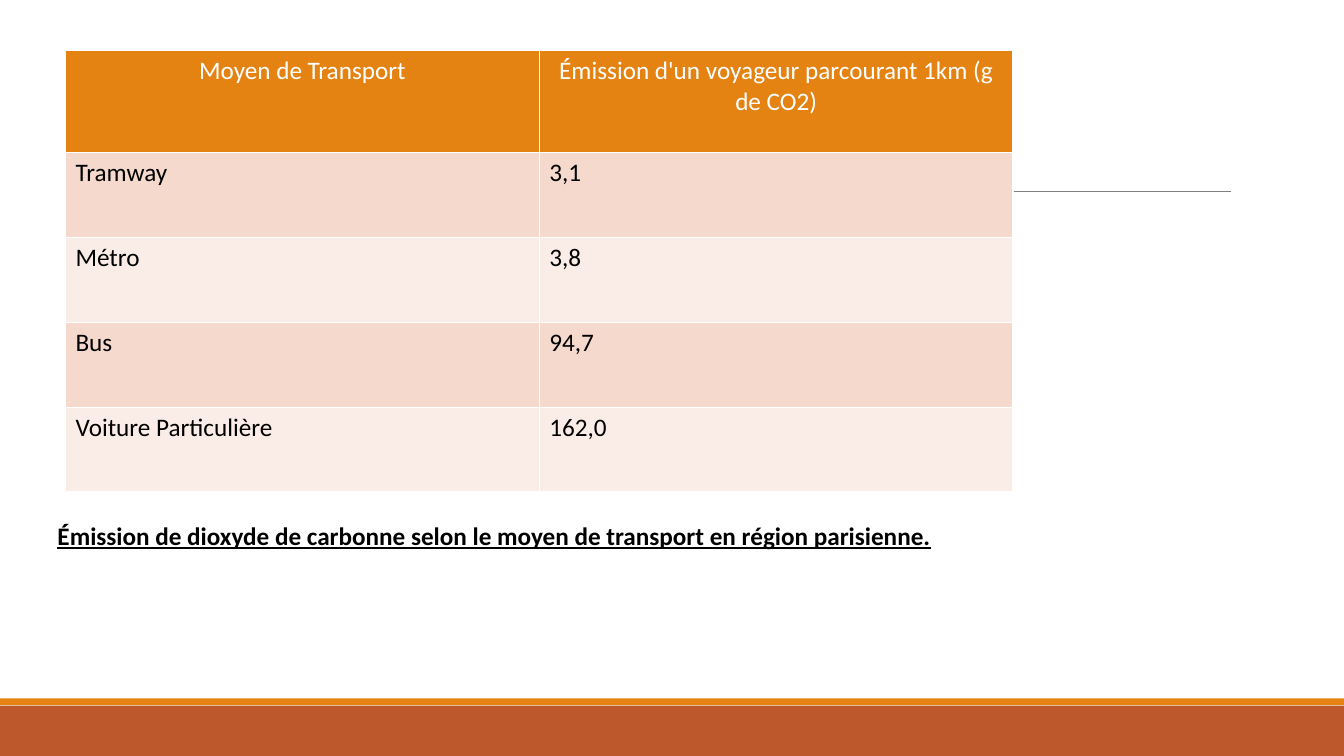
import dataclasses

import pptx
import pptx.dml.color
import pptx.enum.shapes
import pptx.enum.text
import pptx.oxml
import pptx.oxml.ns
import pptx.util

Cm = pptx.util.Cm
Pt = pptx.util.Pt


@dataclasses.dataclass(frozen=True)
class Theme:
    font: str = "Calibri"
    size: int = 18
    white: str = "FFFFFF"
    black: str = "000000"
    orange: str = "E48312"
    rust: str = "BD582C"
    rule: str = "808080"
    rule_width: float = 0.5
    border_width: float = 1
    bands: tuple = ("F5D9CC", "FAEDE7")


THEME = Theme()
WIDTH, HEIGHT = 33.87, 19.05

EMISSIONS = [
    ("Moyen de Transport", "Émission d'un voyageur parcourant 1km (g de CO2)"),
    ("Tramway", "3,1"),
    ("Métro", "3,8"),
    ("Bus", "94,7"),
    ("Voiture Particulière", "162,0"),
]
CAPTION = "Émission de dioxyde de carbonne selon le moyen de transport en région parisienne."


def colour(code):
    return pptx.dml.color.RGBColor.from_string(code)


def write_text(frame, text, ink=THEME.black, align="LEFT", bold=False, underline=False):
    para = frame.paragraphs[0]
    para.alignment = getattr(pptx.enum.text.PP_ALIGN, align)
    span = para.add_run()
    span.text = text
    font = span.font
    font.name, font.size = THEME.font, Pt(THEME.size)
    font.bold, font.underline = bold, underline
    font.color.rgb = colour(ink)


def border_cell(cell):
    properties = cell._tc.get_or_add_tcPr()
    width = Pt(THEME.border_width)
    # Borders come before the fill in the cell properties
    for position, side in enumerate(("lnL", "lnR", "lnT", "lnB")):
        line = pptx.oxml.parse_xml(
            f'<a:{side} {pptx.oxml.ns.nsdecls("a")} w="{width}"><a:solidFill>'
            f'<a:srgbClr val="{THEME.white}"/></a:solidFill></a:{side}>'
        )
        properties.insert(position, line)


def add_band(page, left, top, width, height, fill):
    band = page.shapes.add_shape(
        pptx.enum.shapes.MSO_SHAPE.RECTANGLE, Cm(left), Cm(top), Cm(width), Cm(height)
    )
    band.shadow.inherit = False
    band.fill.solid()
    band.fill.fore_color.rgb = colour(fill)
    band.line.fill.background()


def add_footer(page, left, top, width, height):
    stripe, gap = 0.17, 0.01
    body_top = top + stripe + gap
    add_band(page, left, body_top, width, height - stripe - gap, THEME.rust)
    add_band(page, left, top, width, stripe, THEME.orange)


def add_rule(page, left, top, width):
    rule = page.shapes.add_connector(
        pptx.enum.shapes.MSO_CONNECTOR.STRAIGHT,
        Cm(left), Cm(top), Cm(left + width), Cm(top),
    )
    rule.line.color.rgb = colour(THEME.rule)
    rule.line.width = Pt(THEME.rule_width)
    rule._element.spPr.append(
        pptx.oxml.parse_xml(f'<a:effectLst {pptx.oxml.ns.nsdecls("a")}/>')
    )


def add_emissions_table(page, left, top, width, height):
    header_height = 2.57
    row_height = (height - header_height) / (len(EMISSIONS) - 1)
    columns = len(EMISSIONS[0])
    table = page.shapes.add_table(
        len(EMISSIONS), columns, Cm(left), Cm(top), Cm(width), Cm(height)
    ).table
    for column in table.columns:
        column.width = Cm(width / columns)
    for index, values in enumerate(EMISSIONS):
        header = index == 0
        table.rows[index].height = Cm(header_height if header else row_height)
        fill = THEME.orange if header else THEME.bands[(index - 1) % 2]
        for cell, value in zip(table.rows[index].cells, values):
            cell.fill.solid()
            cell.fill.fore_color.rgb = colour(fill)
            border_cell(cell)
            write_text(
                cell.text_frame, value,
                ink=THEME.white if header else THEME.black,
                align="CENTER" if header else "LEFT",
            )


def add_caption(page, left, top, width, height):
    box = page.shapes.add_textbox(Cm(left), Cm(top), Cm(width), Cm(height))
    box.text_frame.word_wrap = True
    box.text_frame.auto_size = pptx.enum.text.MSO_AUTO_SIZE.SHAPE_TO_FIT_TEXT
    write_text(box.text_frame, CAPTION, bold=True, underline=True)


def main():
    deck = pptx.Presentation()
    deck.slide_width, deck.slide_height = Cm(WIDTH), Cm(HEIGHT)
    page = deck.slides.add_slide(deck.slide_layouts[6])

    # Background decoration
    footer_top = 17.6
    add_footer(page, 0, footer_top, WIDTH, HEIGHT - footer_top)
    add_rule(page, 3.33, 4.82, 27.68)

    # Table and its caption
    add_emissions_table(page, 1.65, 1.27, 23.88, 11.13)
    add_caption(page, 1.2, 12.98, 25.53, 1.03)

    deck.save("out.pptx")


if __name__ == "__main__":
    main()
